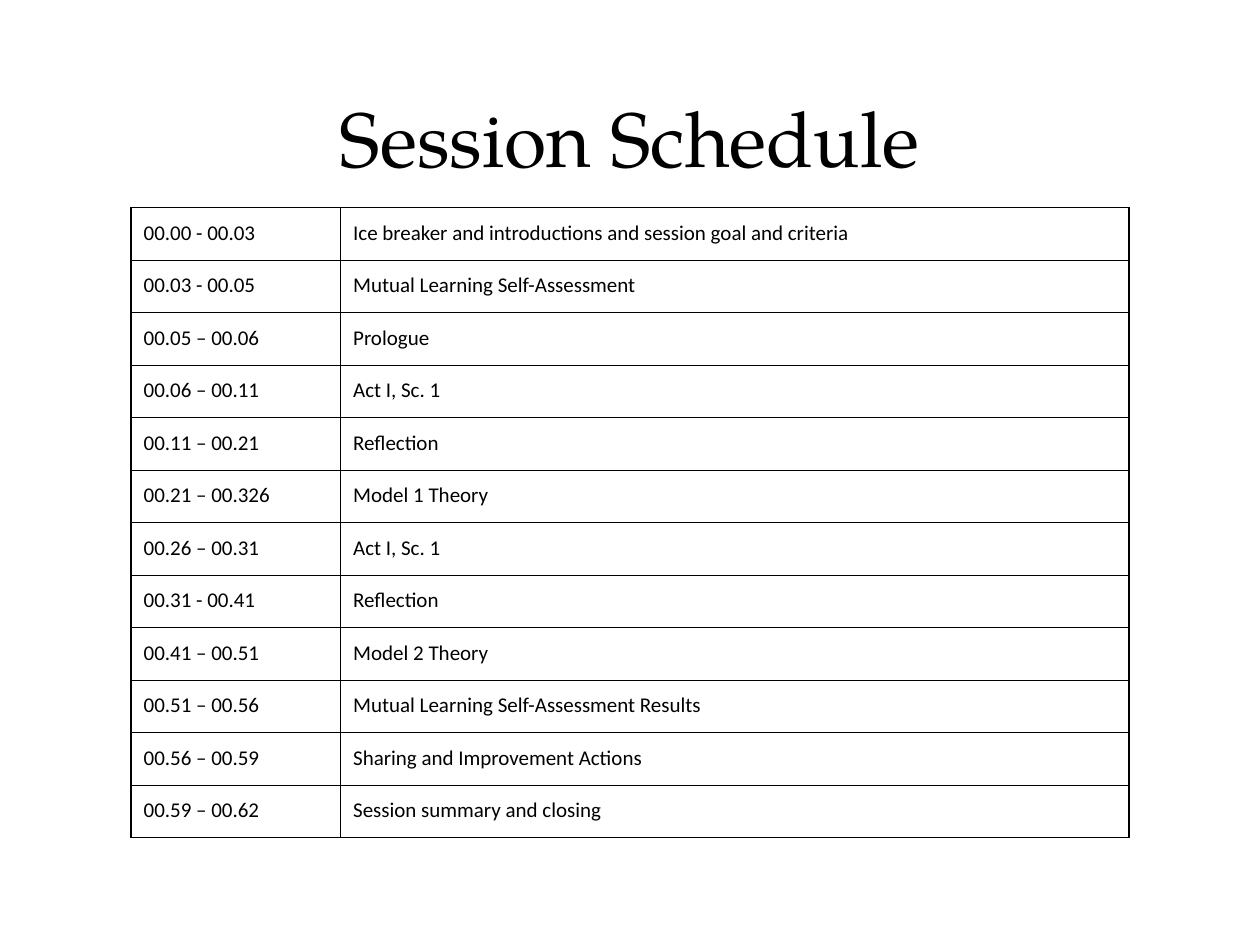
"""Build the session schedule slide: a title above a ruled timetable."""
from dataclasses import dataclass

from lxml import etree
from pptx import Presentation
from pptx import util as u
from pptx.dml.color import RGBColor
from pptx.enum import text
from pptx.oxml.ns import qn

COLOURS = {"ink": "000000", "paper": "FFFFFF"}
SLIDE_WIDTH, SLIDE_HEIGHT = u.Inches(10), u.Inches(7.5)
INSET = u.Inches(0.1)
MARGINS = {f"margin_{side}": INSET for side in ("left", "top", "right", "bottom")}
RULE_WIDTH = u.Pt(0.75)
COLUMN_SHARES = (0.21, 0.79)


@dataclass(frozen=True)
class Area:
    """A rectangle given as shares of the slide's size."""
    left: float
    top: float
    width: float
    height: float

    def lengths(self) -> tuple[int, int, int, int]:
        return (int(self.left * SLIDE_WIDTH), int(self.top * SLIDE_HEIGHT),
                int(self.width * SLIDE_WIDTH), int(self.height * SLIDE_HEIGHT))


@dataclass(frozen=True)
class Session:
    time: str
    activity: str


TITLE_AREA = Area(0.05, 0.04, 0.9, 1 / 6)
TABLE_AREA = Area(0.104, 0.22, 0.792, 2 / 3)
TITLE_FONT = {"name": "TeX Gyre Pagella", "size": u.Pt(44)}
CELL_FONT = {"name": "Calibri", "size": u.Pt(12)}
SESSIONS = (
    Session("00.00 - 00.03", "Ice breaker and introductions and session goal and criteria"),
    Session("00.03 - 00.05", "Mutual Learning Self-Assessment"),
    Session("00.05 – 00.06", "Prologue"),
    Session("00.06 – 00.11", "Act I, Sc. 1"),
    Session("00.11 – 00.21", "Reflection"),
    Session("00.21 – 00.326", "Model 1 Theory"),
    Session("00.26 – 00.31", "Act I, Sc. 1"),
    Session("00.31 - 00.41", "Reflection"),
    Session("00.41 – 00.51", "Model 2 Theory"),
    Session("00.51 – 00.56", "Mutual Learning Self-Assessment Results"),
    Session("00.56 – 00.59", "Sharing and Improvement Actions"),
    Session("00.59 – 00.62", "Session summary and closing"),
)


def apply(target, values: dict) -> None:
    for name, value in values.items():
        setattr(target, name, value)


def write(para, words: str, font: dict) -> None:
    span = para.add_run()
    span.text = words
    apply(span.font, font)
    span.font.color.rgb = RGBColor.from_string(COLOURS["ink"])


def add_title(page, words: str) -> None:
    box = page.shapes.add_textbox(*TITLE_AREA.lengths())
    apply(box.text_frame, MARGINS | {
        "word_wrap": True, "vertical_anchor": text.MSO_ANCHOR.BOTTOM})
    para = box.text_frame.paragraphs[0]
    para.alignment = text.PP_ALIGN.CENTER
    write(para, words, TITLE_FONT)


def rule_cell(cell) -> None:
    properties = cell._tc.get_or_add_tcPr()
    for position, side in enumerate(("lnL", "lnR", "lnT", "lnB")):
        line = etree.Element(qn(f"a:{side}"), w=str(RULE_WIDTH))
        fill = etree.SubElement(line, qn("a:solidFill"))
        etree.SubElement(fill, qn("a:srgbClr"), val=COLOURS["ink"])
        properties.insert(position, line)


def fill_cell(cell, words: str) -> None:
    apply(cell, MARGINS)
    cell.fill.solid()
    cell.fill.fore_color.rgb = RGBColor.from_string(COLOURS["paper"])
    rule_cell(cell)
    write(cell.text_frame.paragraphs[0], words, CELL_FONT)


def add_schedule(page, sessions: tuple[Session, ...]) -> None:
    left, top, width, height = TABLE_AREA.lengths()
    table = page.shapes.add_table(
        len(sessions), len(COLUMN_SHARES), left, top, width, height).table
    apply(table, {"first_row": False, "horz_banding": False})
    for column, share in zip(table.columns, COLUMN_SHARES):
        column.width = int(width * share)
    for row, session in zip(table.rows, sessions):
        row.height = height // len(sessions)
        for cell, words in zip(row.cells, (session.time, session.activity)):
            fill_cell(cell, words)


def main() -> None:
    deck = Presentation()
    apply(deck, {"slide_width": SLIDE_WIDTH, "slide_height": SLIDE_HEIGHT})
    page = deck.slides.add_slide(deck.slide_layouts[6])
    add_title(page, "Session Schedule")
    add_schedule(page, SESSIONS)
    deck.save("out.pptx")


if __name__ == "__main__":
    main()
